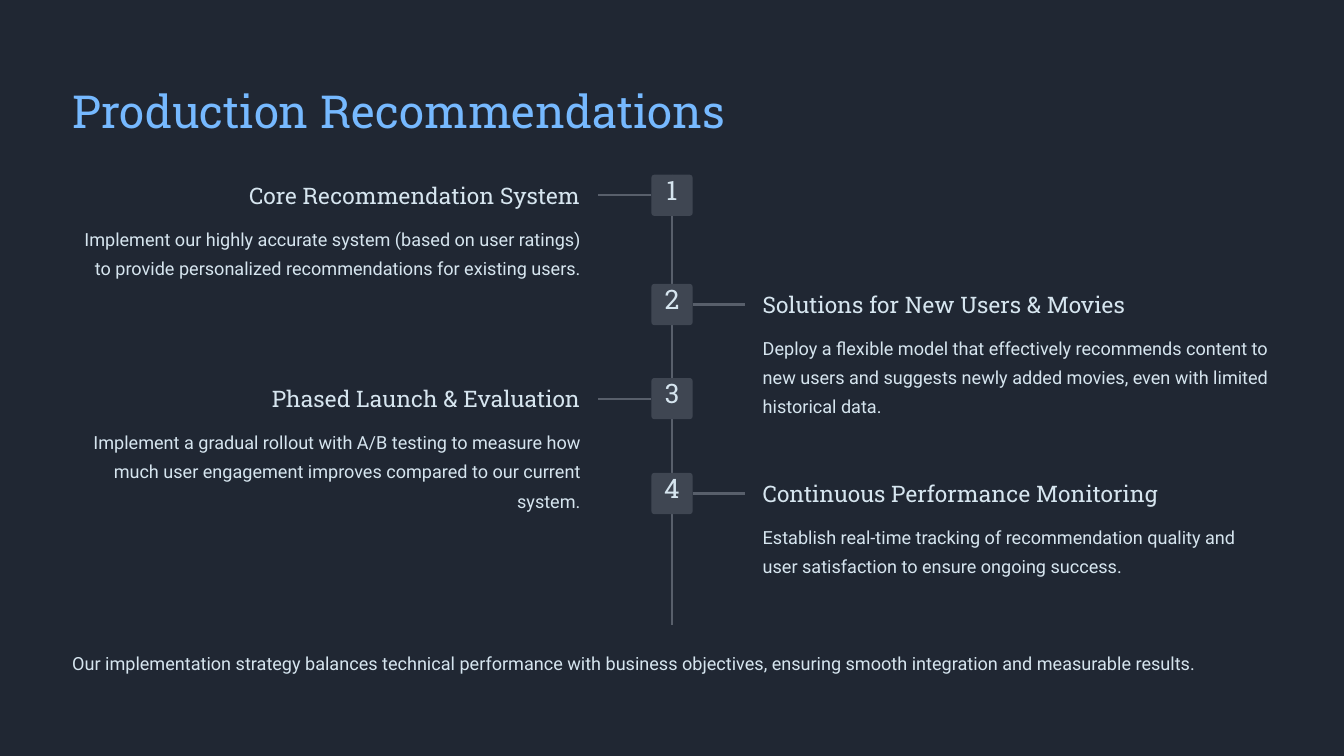
"""Build the Production Recommendations timeline slide."""
from dataclasses import dataclass

from lxml.etree import SubElement
from pptx import Presentation
from pptx.dml.color import RGBColor as RGB
from pptx.enum.shapes import MSO_CONNECTOR as Link, MSO_SHAPE as Form
from pptx.enum.text import MSO_ANCHOR as Anchor, MSO_AUTO_SIZE as Fit, PP_ALIGN as Align
from pptx.oxml.ns import qn
from pptx.util import Inches, Pt


@dataclass(frozen=True)
class Style:
    """Font, size, line pitch and colour of a text."""
    face: str
    size: float
    pitch: float
    color: RGB


@dataclass(frozen=True)
class Theme:
    """Colours and text styles of the slide."""
    back = RGB(0x20, 0x27, 0x33)
    line = RGB(0x58, 0x5F, 0x6B)
    badge = RGB(0x3F, 0x46, 0x52)
    pale = RGB(0xD6, 0xE5, 0xEF)
    title = Style("Roboto Slab", 39, 48.5, RGB(0x76, 0xB9, 0xFF))
    digit = Style("Roboto Slab", 23, 23, pale)
    head = Style("Roboto Slab", 19.5, 24, pale)
    body = Style("Roboto", 15.5, 25, pale)


THEME = Theme()
LEFT, RIGHT, WIDE = 0.86, 9.08, 6.05
MID, SIDE, STEM, END = 8, 0.49, 0.63, 7.44
STEPS = [
    (2.08, "Core Recommendation System",
     "Implement our highly accurate system (based on user ratings) "
     "to provide personalized recommendations for existing users."),
    (3.38, "Solutions for New Users & Movies",
     "Deploy a flexible model that effectively recommends content to new users "
     "and suggests newly added movies, even with limited historical data."),
    (4.5, "Phased Launch & Evaluation",
     "Implement a gradual rollout with A/B testing to measure how much "
     "user engagement improves compared to our current system."),
    (5.63, "Continuous Performance Monitoring",
     "Establish real-time tracking of recommendation quality and "
     "user satisfaction to ensure ongoing success."),
]
CLOSING = ("Our implementation strategy balances technical performance with business "
           "objectives, ensuring smooth integration and measurable results.")


def write(shape, text, style, align=Align.LEFT, wrap=True, inset=0):
    """Put one styled paragraph into a shape."""
    frame = shape.text_frame
    frame.auto_size = Fit.NONE
    frame.word_wrap = wrap
    frame.vertical_anchor = Anchor.TOP
    frame.margin_left = frame.margin_right = frame.margin_bottom = 0
    frame.margin_top = Inches(inset)
    frame.text = text
    para = frame.paragraphs[0]
    para.alignment = align
    para.line_spacing = Pt(style.pitch)
    para.space_before = Pt(0)
    font = para.font
    font.name, font.size = style.face, Pt(style.size)
    font.color.rgb = style.color


def add_text(slide, box, text, style, align=Align.LEFT, wrap=True):
    """Add a text box at left, top, width, height."""
    write(slide.shapes.add_textbox(*map(Inches, box)), text, style, align, wrap)


def add_title(slide, text):
    """Place and fill the title."""
    title = slide.shapes.title
    title.left, title.top = Inches(LEFT), Inches(0.97)
    title.width, title.height = Inches(7.8), Inches(0.68)
    write(title, text, THEME.title, wrap=False)


def add_line(slide, start, end):
    """Draw a plain line between two points."""
    line = slide.shapes.add_connector(Link.STRAIGHT, *map(Inches, start + end))
    line.line.color.rgb = THEME.line
    line.line.width = Pt(1.75)
    SubElement(line._element.spPr, qn("a:effectLst"))
    return line


def add_badge(slide, top, digit):
    """Add a numbered square on the centre line."""
    box = map(Inches, (MID - SIDE / 2, top, SIDE, SIDE))
    badge = slide.shapes.add_shape(Form.ROUNDED_RECTANGLE, *box)
    badge.adjustments[0] = 0.07
    badge.shadow.inherit = False
    badge.fill.solid()
    badge.fill.fore_color.rgb = THEME.badge
    badge.line.fill.background()
    write(badge, digit, THEME.digit, Align.CENTER, wrap=False, inset=0.04)
    return badge


def add_step(slide, index, top, head, body):
    """Add a badge, its stem and its texts on alternating sides."""
    badge = add_badge(slide, top, str(index + 1))
    right = index % 2
    sign = 1 if right else -1
    edge, mid = MID + sign * SIDE / 2, top + SIDE / 2
    stem = add_line(slide, (edge, mid), (edge + sign * STEM, mid))
    stem.begin_connect(badge, 3 if right else 1)
    left = RIGHT if right else LEFT
    align = Align.LEFT if right else Align.RIGHT
    add_text(slide, (left, top + 0.07, WIDE, 0.34), head, THEME.head, align)
    add_text(slide, (left, top + 0.55, WIDE, 1.04), body, THEME.body, align)
    return badge


def main():
    """Build and save the slide."""
    deck = Presentation()
    deck.slide_width, deck.slide_height = Inches(16), Inches(9)
    slide = deck.slides.add_slide(deck.slide_layouts[5])
    slide.background.fill.solid()
    slide.background.fill.fore_color.rgb = THEME.back
    add_title(slide, "Production Recommendations")
    spine = add_line(slide, (MID, STEPS[0][0]), (MID, END))
    badges = [add_step(slide, i, *step) for i, step in enumerate(STEPS)]
    spine.begin_connect(badges[0], 0)
    add_text(slide, (LEFT, 7.68, 14.26, 0.35), CLOSING, THEME.body, wrap=False)
    deck.save("out.pptx")


if __name__ == "__main__":
    main()
